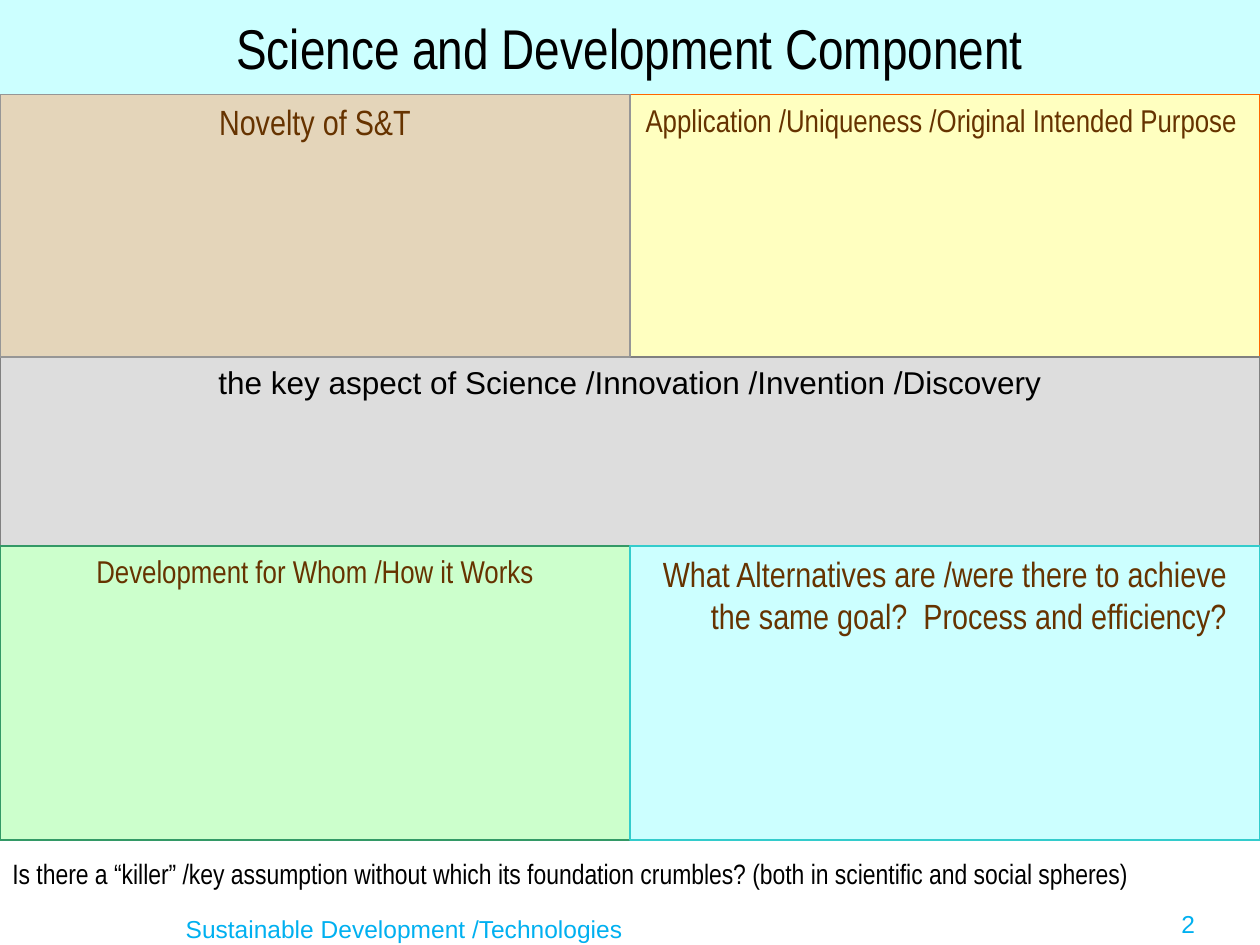
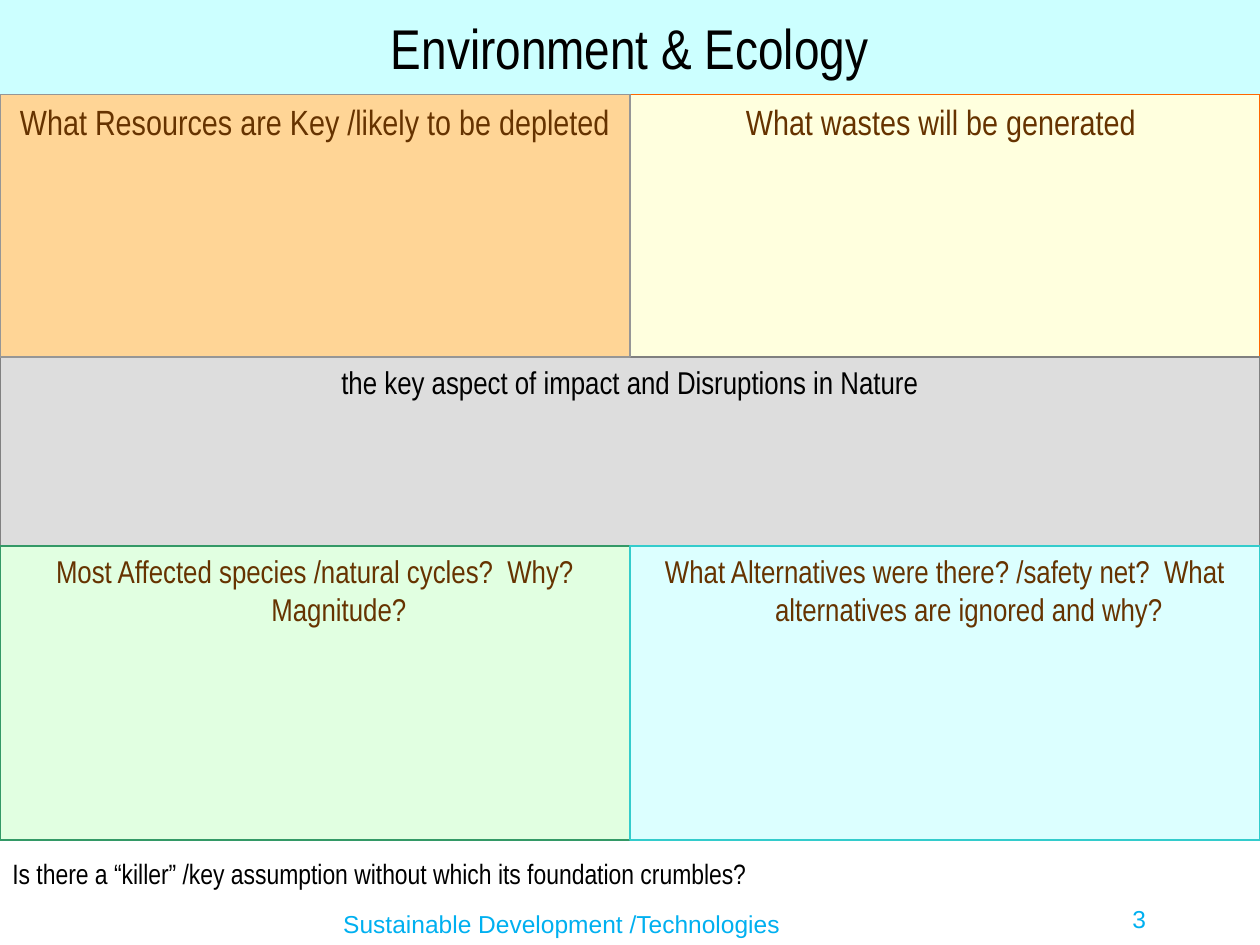
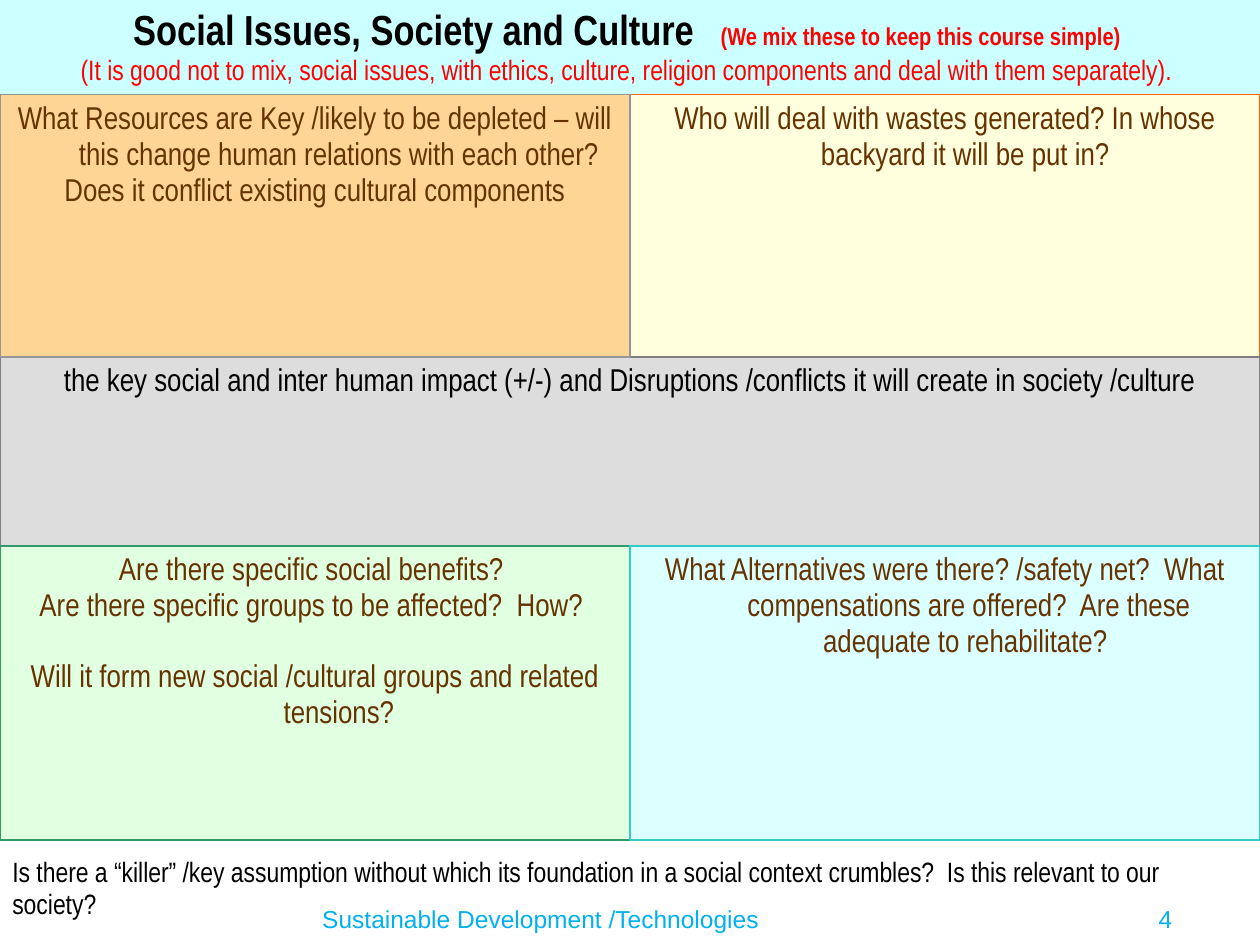
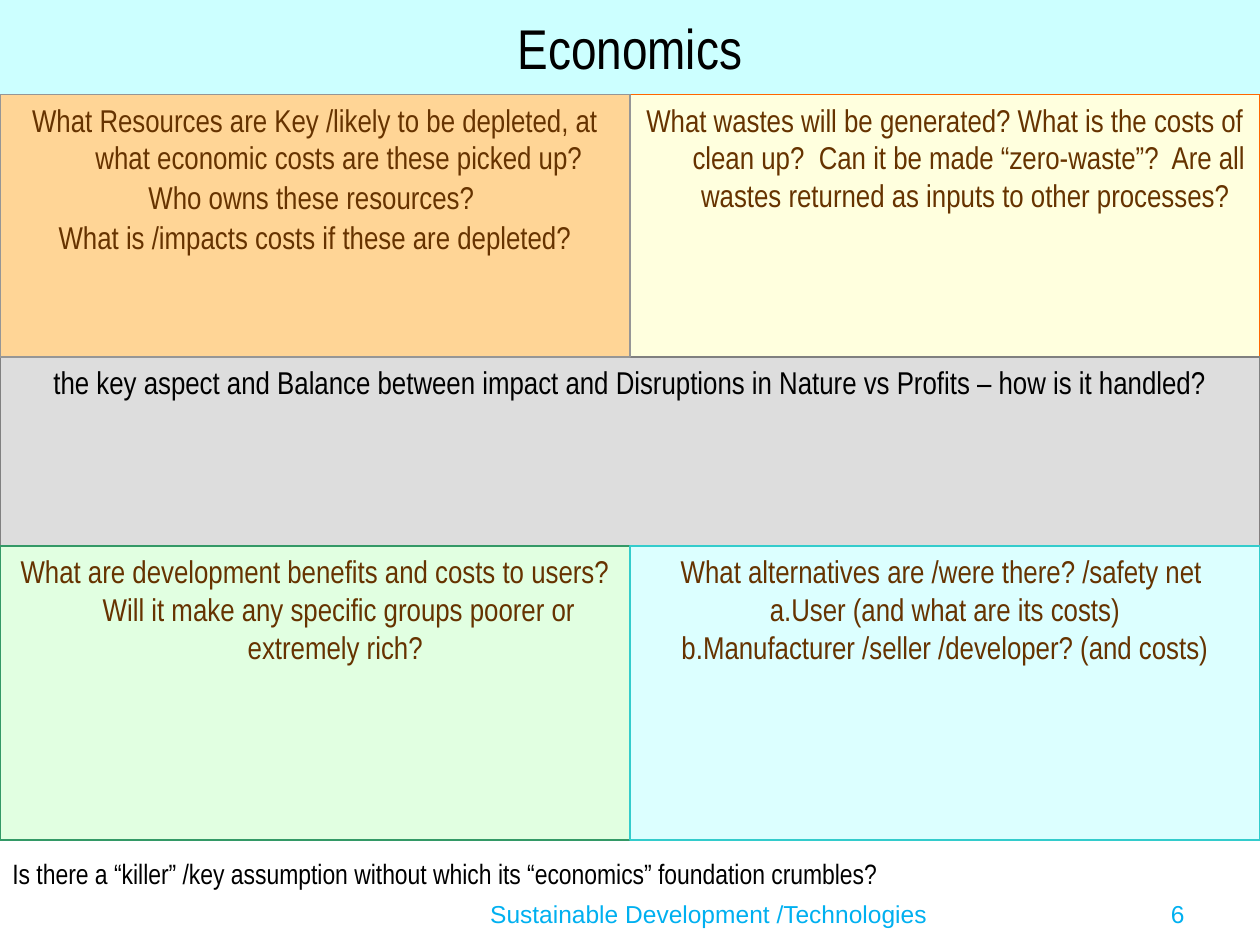
import dataclasses
import itertools

import lxml.etree
import pptx
import pptx.dml.color
import pptx.enum.shapes
import pptx.enum.text
import pptx.oxml.ns
import pptx.util

ALIGN = pptx.enum.text.PP_ALIGN
ANCHOR = pptx.enum.text.MSO_ANCHOR


@dataclasses.dataclass(frozen=True)
class Theme:
    narrow: str = "Arial Narrow"
    plain: str = "Arial"
    ink: str = "000000"
    heading: str = "663300"
    warning: str = "FF0000"
    footer: str = "00B0F0"
    title_band: str = "CCFFFF"
    key_band: str = "DDDDDD"
    key_line: str = "808080"
    title_size: int = 32
    long_title_size: int = 24
    large: int = 20
    normal: int = 18
    small: int = 16
    tiny: int = 14
    line_width: float = 0.75


theme = Theme()
color = pptx.dml.color.RGBColor.from_string

presentation = pptx.Presentation()
presentation.slide_width = pptx.util.Inches(10)
presentation.slide_height = pptx.util.Inches(7.5)

# Grid of 120 columns by 90 rows; the bands and panels share these lines
UNIT = presentation.slide_width / 120
LEFT, MIDDLE, RIGHT = 0, 60, 120
TITLE_TOP, UPPER_TOP, KEY_TOP, LOWER_TOP, LOWER_END, QUESTION_TOP, BOTTOM = 0, 9, 34, 52, 80, 81, 90
HANGING = pptx.util.Inches(0.38)

# Panels from back to front: left, top, bottom, line colour
PANELS = {
    "upper right": (MIDDLE, UPPER_TOP, KEY_TOP, "FF6600"),
    "key": (LEFT, KEY_TOP, LOWER_TOP, theme.key_line),
    "upper left": (LEFT, UPPER_TOP, KEY_TOP, "969696"),
    "lower left": (LEFT, LOWER_TOP, LOWER_END, "339966"),
    "lower right": (MIDDLE, LOWER_TOP, LOWER_END, "33CCCC"),
}

# Fill colour and opacity in percent
STRONG_FILLS = {
    "upper right": ("FFFF99", 61), "key": (theme.key_band, 100), "upper left": ("E4D5BA", 100),
    "lower left": ("CCFFCC", 100), "lower right": ("CCFFFF", 100),
}
SOFT_FILLS = {
    "upper right": ("FFFF99", 32), "key": (theme.key_band, 100), "upper left": ("FF9900", 41),
    "lower left": ("CCFFCC", 59), "lower right": ("CCFFFF", 67),
}

# Each panel: text size, lines, optional space before each line
SLIDES = [
    {
        "title": "Science and Development Component",
        "fills": STRONG_FILLS, "key font": theme.plain, "spacing": 1.0,
        "upper right": (theme.normal, ["Application /Uniqueness /Original Intended Purpose "]),
        "key": (theme.normal, ["the key aspect of Science /Innovation /Invention /Discovery"]),
        "upper left": (theme.large, ["Novelty of S&T"]),
        "lower left": (theme.normal, ["Development for Whom /How it Works"]),
        "lower right": (theme.large, [
            "What Alternatives are /were there to achieve the same goal?  Process and efficiency?"]),
        "question": "Is there a “killer” /key assumption without which its foundation crumbles? "
                    "(both in scientific and social spheres)",
        "footer": (8, 86.5, 61, 3.5),
        "number": ("2", (107, 86, 8, 3.5), ALIGN.RIGHT),
    },
    {
        "title": "Environment & Ecology",
        "fills": SOFT_FILLS, "key font": theme.narrow, "spacing": 1.0,
        "upper right": (theme.large, ["What wastes will be generated "]),
        "key": (theme.normal, ["the key aspect of impact and Disruptions in Nature"]),
        "upper left": (theme.large, ["What Resources are Key /likely to be depleted"]),
        "lower left": (theme.normal, ["Most Affected species /natural cycles?  Why? Magnitude?"]),
        "lower right": (theme.normal, [
            "What Alternatives were there? /safety net?  What alternatives are ignored and why?"]),
        "question": "Is there a “killer” /key assumption without which its foundation crumbles?",
        "footer": (25, 86, 57, 4),
        "number": ("3", (103, 85.5, 11, 3.5), ALIGN.CENTER),
    },
    {
        "title": "Social Issues, Society and Culture",
        "title notes": (
            "(We mix these to keep this course simple) ",
            "(It is good not to mix, social issues, with ethics, culture, religion components "
            "and deal with them separately). "),
        "fills": SOFT_FILLS, "key font": theme.narrow, "spacing": 0.95,
        "upper right": (theme.normal, [
            "Who will deal with wastes generated? In whose backyard it will be put in? "]),
        "key": (theme.normal, [
            "the key social and inter human impact (+/-) and Disruptions /conflicts "
            "it will create in society /culture"]),
        "upper left": (theme.normal, [
            "What Resources are Key /likely to be depleted – will "
            "this change human relations with each other?",
            "Does it conflict existing cultural components"]),
        "lower left": (theme.normal, [
            "Are there specific social benefits? ",
            "Are there specific groups to be affected?  How? ",
            "Will it form new social /cultural groups and related tensions?"], (0, 0, 20)),
        "lower right": (theme.normal, [
            "What Alternatives were there? /safety net?  What compensations are offered?  "
            "Are these adequate to rehabilitate? "]),
        "question": "Is there a “killer” /key assumption without which its foundation in a social "
                    "context crumbles?  Is this relevant to our society?",
        "footer": (24, 85.5, 55, 3.5),
        "number": ("4", (107, 85.5, 8, 4.25), ALIGN.CENTER),
    },
    {
        "title": "Economics",
        "fills": SOFT_FILLS, "key font": theme.narrow, "spacing": 1.0,
        "upper right": (theme.normal, [
            "What wastes will be generated? What is the costs of clean up?  Can it be made "
            "“zero-waste”?  Are all wastes returned as inputs to other processes? "]),
        "key": (theme.normal, [
            "the key aspect and Balance between impact and Disruptions in Nature vs Profits "
            "– how is it handled?"]),
        "upper left": (theme.normal, [
            "What Resources are Key /likely to be depleted, at what economic costs are these picked up?",
            "Who owns these resources? ",
            "What is /impacts costs if these are depleted?"], (0, 1.1, 1.1)),
        "lower left": (theme.normal, [
            "What are development benefits and costs to users? Will it make any specific groups "
            "poorer or extremely rich? "]),
        "lower right": (theme.normal, [
            "What alternatives are /were there? /safety net ",
            "a.User (and what are its costs)",
            "b.Manufacturer /seller /developer? (and costs)"]),
        "question": "Is there a “killer” /key assumption without which its “economics” "
                    "foundation crumbles?",
        "footer": (41, 85, 53, 5),
        "number": ("6", (107, 85, 7, 3.25), ALIGN.RIGHT),
    },
]


def place(*cells):
    """Turn grid cells into slide lengths."""
    return [round(cell * UNIT) for cell in cells]


def write(shape, lines, size, font, ink, align, spacing=1.0, gaps=(), hanging=False):
    """Fill a shape with evenly formatted paragraphs."""
    frame = shape.text_frame
    frame.word_wrap = True
    frame.vertical_anchor = ANCHOR.TOP
    frame.text = "\n".join(lines)
    for paragraph, gap in itertools.zip_longest(frame.paragraphs, gaps, fillvalue=0):
        paragraph.alignment = align
        paragraph.line_spacing = spacing
        if gap:
            paragraph.space_before = pptx.util.Pt(gap)
        if hanging:
            properties = paragraph._p.get_or_add_pPr()
            properties.set("marL", str(HANGING))
            properties.set("indent", str(-HANGING))
        paragraph.font.size = pptx.util.Pt(size)
        for run in paragraph.runs:
            run.font.size = pptx.util.Pt(size)
            run.font.name = font
            run.font.color.rgb = color(ink)


for content in SLIDES:
    slide = presentation.slides.add_slide(presentation.slide_layouts[5])

    # Title band
    title = slide.shapes.title
    title.left, title.top, title.width, title.height = place(LEFT, TITLE_TOP, RIGHT, UPPER_TOP)
    title.fill.solid()
    title.fill.fore_color.rgb = color(theme.title_band)
    notes = content.get("title notes")
    title_size = theme.long_title_size if notes else theme.title_size
    write(title, [content["title"]], title_size, theme.narrow, theme.ink, ALIGN.CENTER, content["spacing"])
    title.text_frame.vertical_anchor = ANCHOR.MIDDLE
    title.text_frame.auto_size = pptx.enum.text.MSO_AUTO_SIZE.NONE

    # Red remarks beside and below the title
    if notes:
        paragraph = title.text_frame.paragraphs[0]
        paragraph.runs[0].font.bold = True
        beside, below = notes
        for text, size, bold in ((" ", theme.tiny, True), (beside, theme.tiny, True), (below, theme.small, False)):
            if text == below:
                paragraph.add_line_break()
            run = paragraph.add_run()
            run.text = text
            run.font.size = pptx.util.Pt(size)
            run.font.name = theme.narrow
            run.font.bold = bold
            run.font.color.rgb = color(theme.warning)
            if text == " ":
                run._r.get_or_add_rPr().set("spc", "1200")

    # Four question panels around the key band
    for name, (left, top, bottom, line_color) in PANELS.items():
        is_key = name == "key"
        width = RIGHT if is_key else MIDDLE
        panel = slide.shapes.add_shape(
            pptx.enum.shapes.MSO_SHAPE.RECTANGLE, *place(left, top, width, bottom - top))
        panel.shadow.inherit = False
        fill_color, opacity = content["fills"][name]
        panel.fill.solid()
        panel.fill.fore_color.rgb = color(fill_color)
        if opacity < 100:
            swatch = panel._element.spPr.find(".//" + pptx.oxml.ns.qn("a:srgbClr"))
            lxml.etree.SubElement(swatch, pptx.oxml.ns.qn("a:alpha")).set("val", str(opacity * 1000))
        panel.line.color.rgb = color(line_color)
        panel.line.width = pptx.util.Pt(theme.line_width)
        size, lines, *gaps = content[name]
        write(panel, lines, size,
              content["key font"] if is_key else theme.narrow,
              theme.ink if is_key else theme.heading,
              ALIGN.CENTER, content["spacing"], gaps[0] if gaps else (), hanging=not is_key)

    # Closing question
    question = slide.shapes.add_textbox(*place(LEFT, QUESTION_TOP, RIGHT, BOTTOM - QUESTION_TOP))
    write(question, [content["question"]], theme.small, theme.narrow, theme.ink, ALIGN.LEFT, content["spacing"])

    # Footer and slide number
    number, number_cells, number_align = content["number"]
    for text, cells, align in (
        ("Sustainable Development /Technologies", content["footer"], ALIGN.CENTER),
        (number, number_cells, number_align),
    ):
        footer = slide.shapes.add_textbox(*place(*cells))
        write(footer, [text], theme.tiny, theme.plain, theme.footer, align)

presentation.save("out.pptx")
